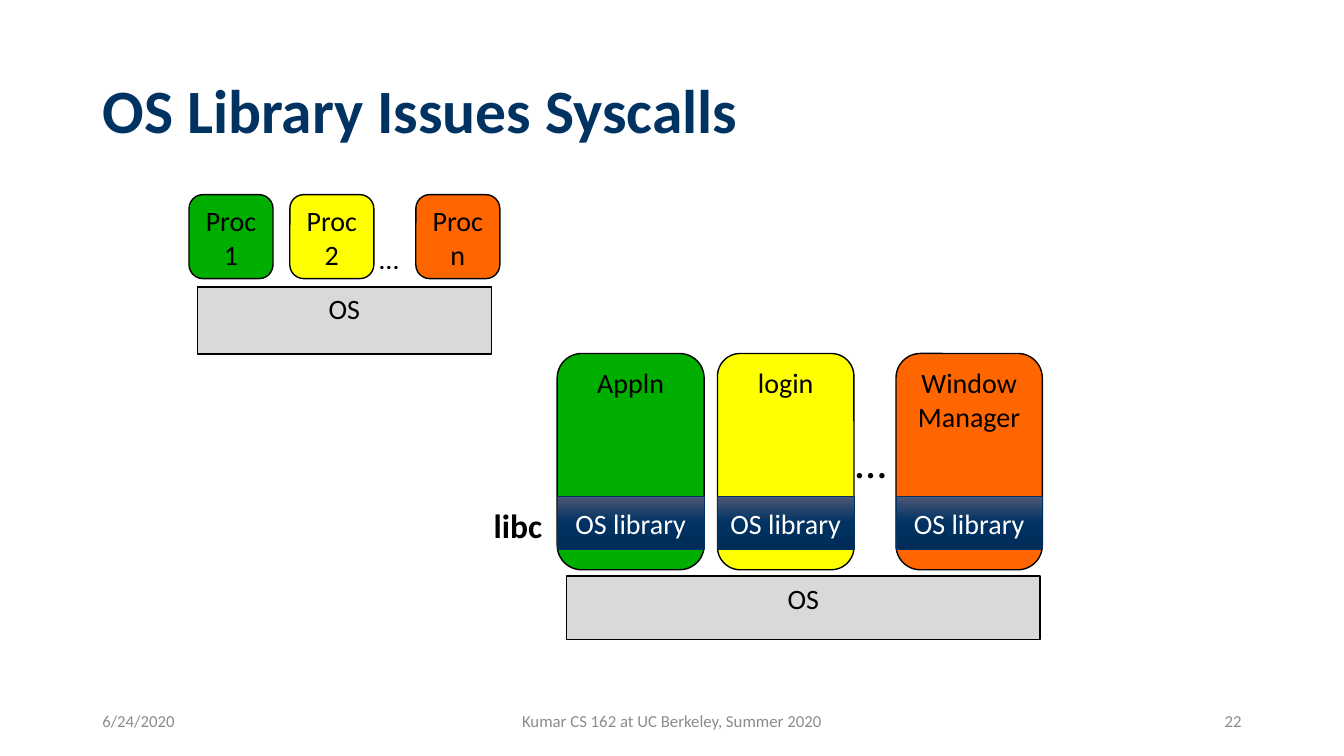
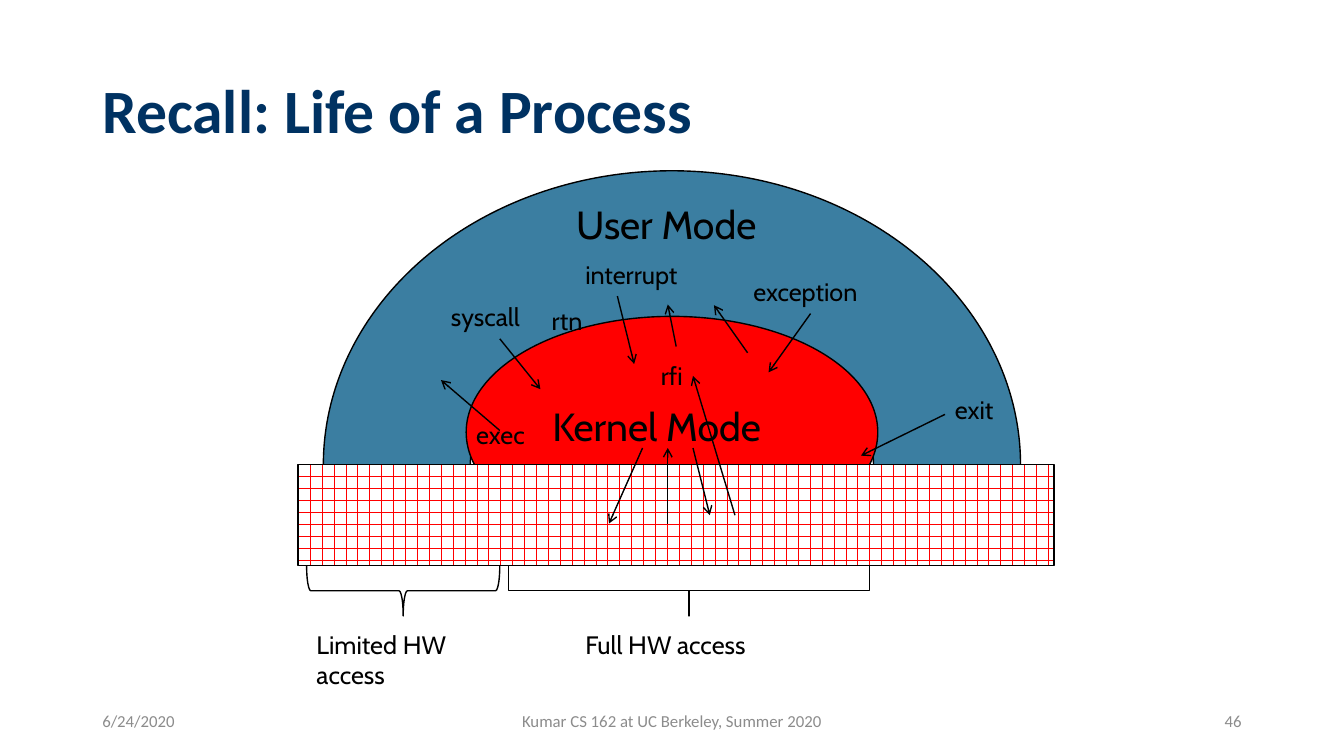
from lxml.etree import SubElement
from copy import deepcopy

from pptx import Presentation
from pptx.dml.color import RGBColor
from pptx.enum.dml import MSO_PATTERN
from pptx.enum.shapes import MSO_CONNECTOR, MSO_SHAPE
from pptx.enum.text import MSO_ANCHOR, PP_ALIGN
from pptx.oxml.ns import qn
from pptx.util import Pt

NAVY = RGBColor(0x00, 0x32, 0x62)
SLATE = RGBColor(0x4B, 0x57, 0x76)
DEEP_NAVY = RGBColor(0x00, 0x2C, 0x57)
STEEL_BLUE = RGBColor(0x3B, 0x7E, 0xA1)
BLACK = RGBColor(0x00, 0x00, 0x00)
WHITE = RGBColor(0xFF, 0xFF, 0xFF)
FOOTER_GREY = RGBColor(0x8C, 0x8C, 0x8C)
LIGHT_GREY = RGBColor(0xD9, 0xD9, 0xD9)
GREEN = RGBColor(0x00, 0xAE, 0x00)
YELLOW = RGBColor(0xFF, 0xFF, 0x00)
ORANGE = RGBColor(0xFF, 0x66, 0x00)
RED = RGBColor(0xFF, 0x00, 0x00)

BODY_FONT = "Calibri"
DIAGRAM_FONT = "Cabin"
TITLE_ONLY = 5
DATE = "6/24/2020"
COURSE = "Kumar CS 162 at UC Berkeley, Summer 2020"

HARDWARE_TOP, HARDWARE_HEIGHT = 332, 72
BRACE_DEPTH = 36


def points(*lengths):
    return [Pt(length) for length in lengths]


def write(target, text, size, color=BLACK, font=BODY_FONT, bold=False,
          align=PP_ALIGN.LEFT, anchor=MSO_ANCHOR.TOP, wrap=True):
    frame = target.text_frame
    frame.text = text
    frame.word_wrap = wrap
    frame.vertical_anchor = anchor
    paragraph = frame.paragraphs[0]
    paragraph.alignment = align
    paragraph.font.name = font
    paragraph.font.size = Pt(size)
    paragraph.font.bold = bold
    paragraph.font.color.rgb = color
    return paragraph


def add_label(slide, box, text, size, **style):
    write(slide.shapes.add_textbox(*points(*box)), text, size, **style)


def add_block(slide, kind, box, fill=None, text="", line=BLACK, line_width=1, **style):
    block = slide.shapes.add_shape(kind, *points(*box))
    block.shadow.inherit = False
    block.line.color.rgb = line
    block.line.width = Pt(line_width)
    if fill is None:
        block.fill.background()
    else:
        block.fill.solid()
        block.fill.fore_color.rgb = fill
    if text:
        write(block, text, 20, align=PP_ALIGN.CENTER, **style)
    return block


def add_library(slide, left, width):
    library = add_block(slide, MSO_SHAPE.RECTANGLE, (left, 354.5, width, 38), NAVY,
                        "OS library", line=NAVY, line_width=0.5, color=WHITE,
                        anchor=MSO_ANCHOR.MIDDLE)
    library.fill.gradient()
    library.fill.gradient_angle = 270
    stop_list = library.element.spPr.find(".//" + qn("a:gsLst"))
    stop_list.append(deepcopy(stop_list[-1]))
    shades = [(0, SLATE), (0.5, NAVY), (1, DEEP_NAVY)]
    for stop, (position, color) in zip(library.fill.gradient_stops, shades):
        stop.position = position
        stop.color.rgb = color


def add_arrow(slide, start, end):
    arrow = slide.shapes.add_connector(MSO_CONNECTOR.STRAIGHT, *points(*start, *end))
    arrow.line.color.rgb = BLACK
    arrow.line.width = Pt(1)
    SubElement(arrow.line._get_or_add_ln(), qn("a:tailEnd"), type="arrow")
    SubElement(arrow.element.spPr, qn("a:effectLst"))


def add_brace(slide, left, span):
    top = HARDWARE_TOP + HARDWARE_HEIGHT + (BRACE_DEPTH - span) / 2
    brace = add_block(slide, MSO_SHAPE.RIGHT_BRACE,
                      (left + (span - BRACE_DEPTH) / 2, top, BRACE_DEPTH, span))
    brace.rotation = 90
    return brace


def add_titled_slide(deck, title, number):
    slide = deck.slides.add_slide(deck.slide_layouts[TITLE_ONLY])
    heading = slide.shapes.title
    heading.left, heading.top, heading.width, heading.height = points(66, 28.8, 828, 104.4)
    write(heading, title, 44, color=NAVY, bold=True,
          anchor=MSO_ANCHOR.MIDDLE).line_spacing = 0.9
    for left, width, text, align in [
        (66, 216, DATE, PP_ALIGN.LEFT),
        (318, 324, COURSE, PP_ALIGN.CENTER),
        (678, 216, str(number), PP_ALIGN.RIGHT),
    ]:
        add_label(slide, (left, 500.5, width, 28.75), text, 12, color=FOOTER_GREY,
                  align=align, anchor=MSO_ANCHOR.MIDDLE)
    return slide


def build_syscalls(deck):
    slide = add_titled_slide(deck, "OS Library Issues Syscalls", 22)

    add_block(slide, MSO_SHAPE.RECTANGLE, (141, 205, 210, 48), LIGHT_GREY, "OS")
    for left, text, color in [(135, "Proc 1", GREEN), (207, "Proc 2", YELLOW),
                              (297, "Proc n", ORANGE)]:
        add_block(slide, MSO_SHAPE.ROUNDED_RECTANGLE, (left, 139, 60, 60), color, text)
    add_label(slide, (264, 169, 28, 31.5), "…", 20, wrap=False)

    add_block(slide, MSO_SHAPE.RECTANGLE, (404.5, 411.5, 338.5, 45.5), LIGHT_GREY, "OS")
    for left, width, text, color in [(398, 105, "Appln", GREEN),
                                     (512.5, 97.5, "login", YELLOW),
                                     (640, 104.5, "Window Manager", ORANGE)]:
        add_block(slide, MSO_SHAPE.ROUNDED_RECTANGLE, (left, 252.5, width, 154.5),
                  color, text)
        add_library(slide, left, width)
    add_label(slide, (604, 306, 47, 46), "…", 32)
    add_label(slide, (345, 357, 49.5, 36), "libc", 24, bold=True,
              align=PP_ALIGN.RIGHT, wrap=False)


def build_process_life(deck):
    slide = add_titled_slide(deck, "Recall: Life of a Process", 46)

    add_block(slide, MSO_SHAPE.BLOCK_ARC, (231, 122, 498, 420), STEEL_BLUE)
    add_block(slide, MSO_SHAPE.OVAL, (333, 226, 294, 165.5), RED)
    hardware = add_block(slide, MSO_SHAPE.RECTANGLE,
                         (213, HARDWARE_TOP, 540, HARDWARE_HEIGHT))
    hardware.fill.patterned()
    hardware.fill.pattern = MSO_PATTERN.HORIZONTAL_BRICK
    hardware.fill.fore_color.rgb = RED
    hardware.fill.back_color.rgb = WHITE

    add_brace(slide, 219, 138)
    full_access = add_brace(slide, 363, 258)
    full_access.adjustments[0] = 0
    full_access.adjustments[1] = 0.5

    for left, top, width, text in [(404.5, 139.5, 144, "User Mode"),
                                   (387.5, 283.5, 163.5, "Kernel Mode")]:
        add_label(slide, (left, top, width, 41), text, 28, font=DIAGRAM_FONT, wrap=False)

    for left, top, width, text in [
        (219, 446, 158.5, "Limited HW access"),
        (411, 446, 129, "Full HW access"),
        (333, 296, 49, "exec"),
        (315, 211.5, 72, "syscall"),
        (675, 278, 42.5, "exit"),
        (387, 214.5, 37.5, "rtn"),
        (411, 181.5, 102, "interrupt"),
        (465, 253.5, 30, "rfi"),
        (531, 193.5, 102, "exception"),
    ]:
        add_label(slide, (left, top, width, 29), text, 18, font=DIAGRAM_FONT)

    for start, end in [
        ((357, 307.5), (315, 271.5)),
        ((357, 242), (386, 278)),
        ((675, 296), (615, 325.5)),
        ((534, 252), (510, 218)),
        ((441, 211.5), (453, 260)),
        ((483, 247.5), (477, 217.5)),
        ((459, 320), (435, 374)),
        ((477, 374), (477, 320)),
        ((495, 320), (507, 368)),
        ((525, 368), (495, 268.5)),
        ((579, 224), (549, 266)),
    ]:
        add_arrow(slide, start, end)


def main():
    deck = Presentation()
    deck.slide_width, deck.slide_height = points(960, 540)
    build_syscalls(deck)
    build_process_life(deck)
    deck.save("out.pptx")


if __name__ == "__main__":
    main()
